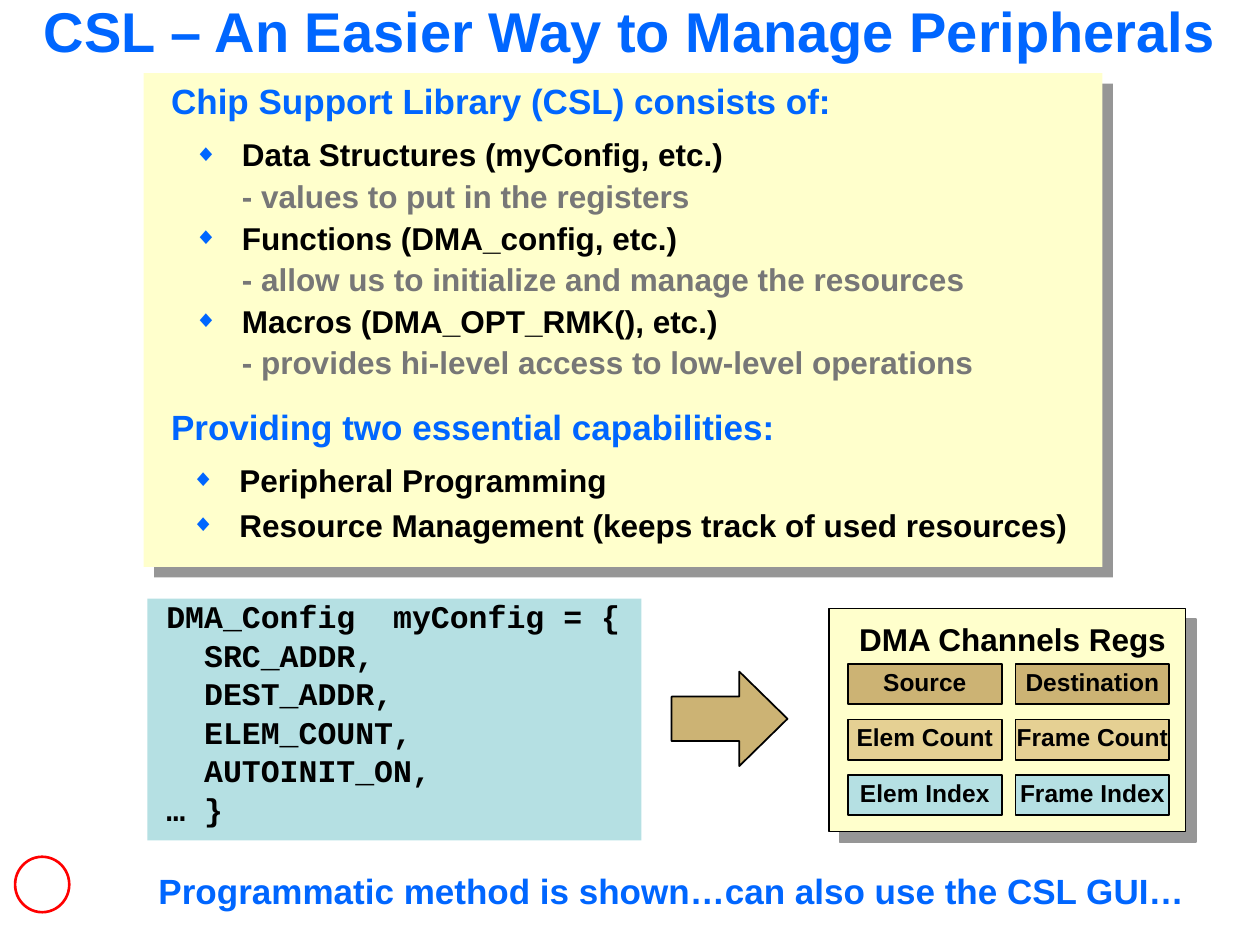
import lxml.etree
import pptx
import pptx.dml.color
import pptx.enum.shapes
import pptx.enum.text
import pptx.oxml.ns
import pptx.util
from dataclasses import dataclass

Inches = pptx.util.Inches
Pt = pptx.util.Pt
FORMS = pptx.enum.shapes.MSO_SHAPE
ALIGN = pptx.enum.text.PP_ALIGN
ANCHOR = pptx.enum.text.MSO_ANCHOR


@dataclass(frozen=True)
class Theme:
    blue: str = "0066FF"
    black: str = "000000"
    gray: str = "777777"
    shade: str = "969696"
    cream: str = "FFFFCC"
    tan: str = "CCB374"
    sand: str = "E5D093"
    aqua: str = "B5E0E3"
    white: str = "FFFFFF"
    red: str = "FF0000"
    sans: str = "Arial"
    mono: str = "Courier New"
    title: int = 32
    head: int = 20
    body: int = 18
    label: int = 14


LOOK = Theme()


def color(code):
    return pptx.dml.color.RGBColor.from_string(code)


def apply(item, values):
    for name, value in values.items():
        setattr(item, name, value)


def node(parent, tag, **values):
    return lxml.etree.SubElement(parent, pptx.oxml.ns.qn(tag), values)


def draw(slide, form, box, fill, line=None, width=1, shadow=False):
    shape = slide.shapes.add_shape(form, *map(Inches, box))
    shape.fill.solid()
    shape.fill.fore_color.rgb = color(fill)
    if line:
        shape.line.color.rgb = color(line)
        shape.line.width = Pt(width)
    else:
        shape.line.fill.background()
    shape.shadow.inherit = False
    if shadow:
        effects = shape._element.spPr.find(pptx.oxml.ns.qn("a:effectLst"))
        cast = node(effects, "a:outerShdw", dist=str(Pt(8.5)),
                    dir=str(45 * 60000), algn="ctr", rotWithShape="0")
        node(cast, "a:srgbClr", val=LOOK.shade)
    return shape


def frame(shape, wrap=True, anchor=ANCHOR.TOP, pads=(0.1, 0.05, 0.1, 0.05)):
    text = shape.text_frame
    sides = ("margin_left", "margin_top", "margin_right", "margin_bottom")
    apply(text, dict(zip(sides, map(Inches, pads)),
                     word_wrap=wrap, vertical_anchor=anchor))
    return text


def add_run(para, text, size, tint=LOOK.black, face=LOOK.sans):
    run = para.add_run()
    run.text = text
    apply(run.font, {"size": Pt(size), "name": face, "bold": True})
    run.font.color.rgb = color(tint)


def write(text, lines, size, tint=LOOK.black, face=LOOK.sans, **format):
    for index, line in enumerate(lines):
        para = text.add_paragraph() if index else text.paragraphs[0]
        apply(para, {"alignment": ALIGN.LEFT, **format})
        add_run(para, line, size, tint, face)


def add_text(slide, box, line, size, tint=LOOK.blue, **format):
    shape = slide.shapes.add_textbox(*map(Inches, box))
    write(frame(shape), [line], size, tint, **format)


def add_list(slide, box, items, space):
    shape = slide.shapes.add_textbox(*map(Inches, box))
    text = frame(shape, True, ANCHOR.MIDDLE, (0.3, 0.15, 0.1, 0.25))
    write(text, [item[0] for item in items], LOOK.body, line_spacing=space)
    for para, item in zip(text.paragraphs, items):
        for note in item[1:]:
            para.add_line_break()
            add_run(para, note, LOOK.body, LOOK.gray)
        # Diamond bullet with a hanging indent
        props = para._p.get_or_add_pPr()
        props.set("marL", str(Inches(0.38)))
        props.set("indent", str(-Inches(0.38)))
        node(node(props, "a:buClr"), "a:srgbClr", val=LOOK.blue)
        node(props, "a:buSzPct", val="75000")
        node(props, "a:buFont", typeface=LOOK.sans)
        node(props, "a:buChar", char="◆")


def add_panel(slide, x, y, w, h):
    draw(slide, FORMS.RECTANGLE, (x, y, w, h), LOOK.cream, shadow=True)
    add_list(slide, (x + 0.1, y + 0.42, 6.8, 2.17), [
        ("Data Structures (myConfig, etc.)",
         "- values to put in the registers"),
        ("Functions (DMA_config, etc.)",
         "- allow us to initialize and manage the resources"),
        ("Macros (DMA_OPT_RMK(), etc.)",
         "- provides hi-level access to low-level operations"),
    ], 1.1)
    add_text(slide, (x + 0.12, y, 5.6, 0.44),
             "Chip Support Library (CSL) consists of:", LOOK.head)
    add_text(slide, (x + 0.12, y + 2.59, 5.6, 0.44),
             "Providing two essential capabilities:", LOOK.head)
    add_list(slide, (x + 0.08, y + 2.93, 7.5, 0.99), [
        ("Peripheral Programming",),
        ("Resource Management (keeps track of used resources)",),
    ], 1.2)


def add_code(slide, *box):
    shape = draw(slide, FORMS.RECTANGLE, box, LOOK.aqua)
    text = frame(shape, True, ANCHOR.MIDDLE, (0.15, 0.05, 0.05, 0.05))
    lines = ["DMA_Config  myConfig = {", "SRC_ADDR,", "DEST_ADDR,",
             "ELEM_COUNT,", "AUTOINIT_ON,", "… }"]
    write(text, lines, LOOK.body, face=LOOK.mono,
          line_spacing=0.5, space_before=Pt(11.2))
    # Struct fields are set in by two letters
    for para in text.paragraphs[1:-1]:
        props = para._p.get_or_add_pPr()
        props.set("marL", str(Inches(0.3)))
        props.set("indent", "0")


def add_regs(slide, x, y, w, h):
    draw(slide, FORMS.RECTANGLE, (x, y, w, h), LOOK.cream, LOOK.black,
         shadow=True)
    add_text(slide, (x + 0.14, y + 0.1, 2.68, 0.34), "DMA Channels Regs",
             LOOK.body, LOOK.black, line_spacing=0.8, space_before=Pt(11.2))
    rows = [(LOOK.tan, "Source", "Destination"),
            (LOOK.sand, "Elem Count", "Frame Count"),
            (LOOK.aqua, "Elem Index", "Frame Index")]
    for row, (fill, *names) in enumerate(rows):
        for col, name in enumerate(names):
            box = (x + 0.15 + 1.33 * col, y + 0.44 + 0.44 * row, 1.22, 0.32)
            cell = draw(slide, FORMS.RECTANGLE, box, fill, LOOK.black)
            write(frame(cell, False, ANCHOR.MIDDLE), [name], LOOK.label,
                  alignment=ALIGN.CENTER, line_spacing=0.8,
                  space_before=Pt(8.8))


def add_arrow(slide, *box):
    arrow = draw(slide, FORMS.RIGHT_ARROW, box, LOOK.tan, LOOK.black)
    for index, value in enumerate((0.47, 0.51)):
        arrow.adjustments[index] = value


def main():
    deck = pptx.Presentation()
    apply(deck, {"slide_width": Inches(10), "slide_height": Inches(7.5)})
    slide = deck.slides.add_slide(deck.slide_layouts[6])

    # Title and list of parts
    add_text(slide, (0, 0.05, 10, 0.67),
             "CSL – An Easier Way to Manage Peripherals", LOOK.title,
             alignment=ALIGN.CENTER, line_spacing=0.75)
    add_panel(slide, 1.14, 0.58, 7.61, 3.92)

    # Code that fills the registers
    add_arrow(slide, 5.33, 5.33, 0.92, 0.75)
    add_code(slide, 1.17, 4.75, 3.92, 1.92)
    add_regs(slide, 6.58, 4.83, 2.83, 1.77)

    # Footer with a plain mark
    draw(slide, FORMS.OVAL, (0.12, 6.8, 0.43, 0.44), LOOK.white, LOOK.red, 1.5)
    add_text(slide, (1.16, 6.92, 8.5, 0.37),
             "Programmatic method is shown…can also use the CSL GUI…",
             LOOK.head, line_spacing=0.8, space_before=Pt(12.5))
    deck.save("out.pptx")


if __name__ == "__main__":
    main()
